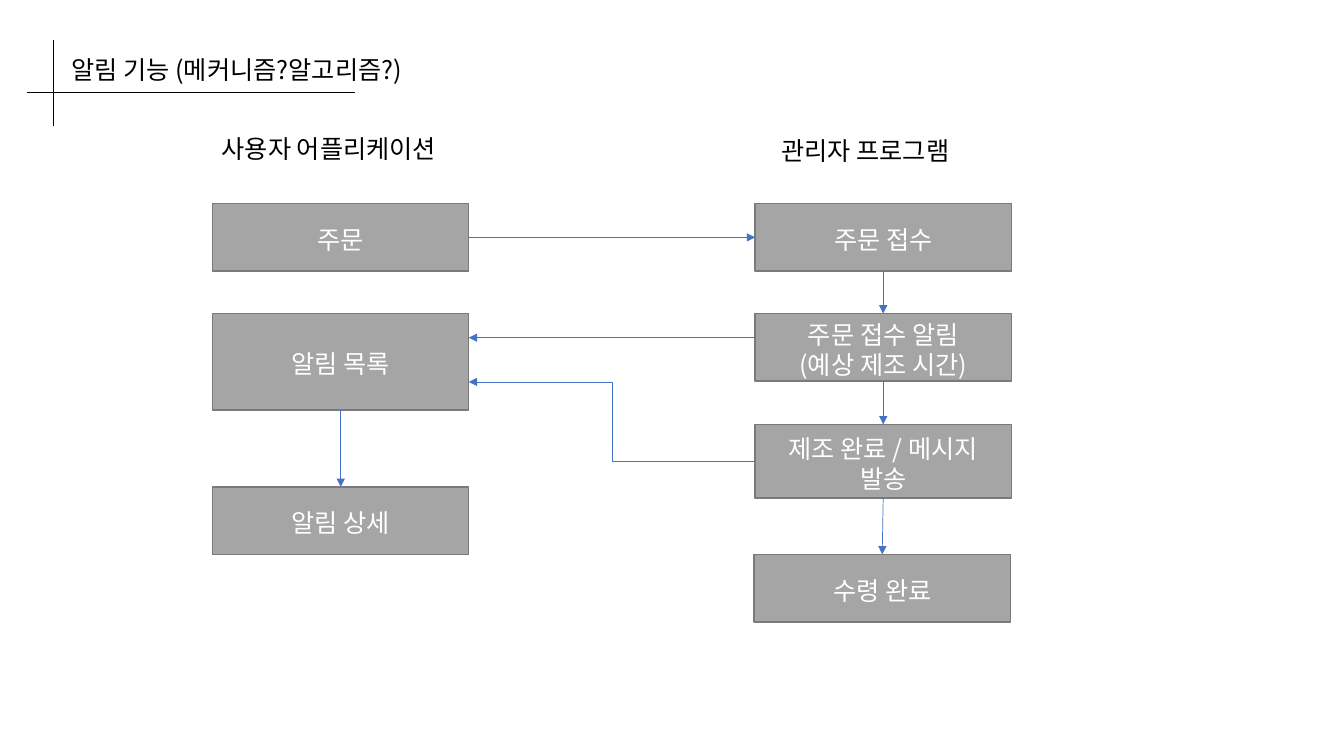
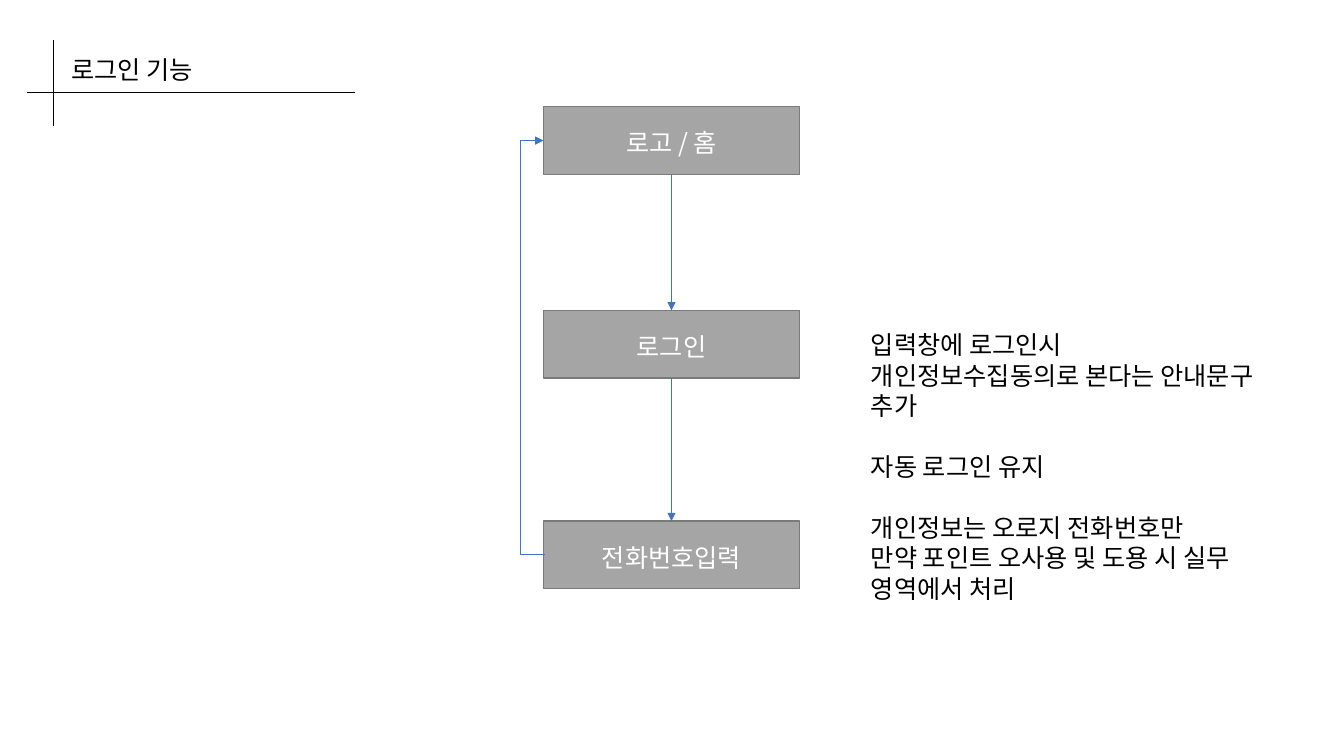
from dataclasses import dataclass

import pptx
import pptx.dml.color
import pptx.enum.shapes
import pptx.enum.text
import pptx.oxml
import pptx.oxml.ns
import pptx.util
from pptx.util import Inches

BLACK = pptx.dml.color.RGBColor(0x00, 0x00, 0x00)
WHITE = pptx.dml.color.RGBColor(0xFF, 0xFF, 0xFF)
GRAY = pptx.dml.color.RGBColor(0xA5, 0xA5, 0xA5)
DARK_GRAY = pptx.dml.color.RGBColor(0x7A, 0x7A, 0x7A)
BLUE = pptx.dml.color.RGBColor(0x44, 0x72, 0xC4)

FONT = "Noto Sans CJK KR"
FONT_SIZE = pptx.util.Pt(18)
LINE_HEIGHT = pptx.util.Pt(21.7)
BOX_WIDTH, BOX_HEIGHT = 2.54, 0.67
TOP, LEFT, BOTTOM, RIGHT = range(4)
STRAIGHT = pptx.enum.shapes.MSO_CONNECTOR.STRAIGHT
ELBOW = pptx.enum.shapes.MSO_CONNECTOR.ELBOW


@dataclass(frozen=True)
class Paragraph:
    text: str
    gap_before: bool = False


@dataclass(frozen=True)
class Step:
    name: str
    left: float
    top: float
    lines: tuple[str, ...]
    height: float = BOX_HEIGHT


@dataclass(frozen=True)
class Link:
    start: str
    start_side: int
    end: str
    end_side: int


# Text
def write(frame, paragraphs, color, align=pptx.enum.text.PP_ALIGN.LEFT) -> None:
    frame.word_wrap = True
    frame.margin_left = frame.margin_right = Inches(0.1)
    frame.margin_top, frame.margin_bottom = Inches(0.07), Inches(0.03)
    for index, paragraph in enumerate(paragraphs):
        para = frame.paragraphs[0] if index == 0 else frame.add_paragraph()
        para.alignment = align
        para.line_spacing = LINE_HEIGHT
        if paragraph.gap_before:
            para.space_before = LINE_HEIGHT
        for number, text in enumerate(paragraph.text.split("\n")):
            if number:
                para.add_line_break()
            span = para.add_run()
            span.text = text
            span.font.size = FONT_SIZE
            span.font.name = FONT
            span.font.color.rgb = color
            east_asian = pptx.oxml.parse_xml(
                f'<a:ea {pptx.oxml.ns.nsdecls("a")} typeface="{FONT}"/>')
            span.font._element.find(pptx.oxml.ns.qn("a:latin")).addnext(east_asian)


def add_text(page, left: float, top: float, width: float, *paragraphs: Paragraph,
             height: float = 0.4) -> None:
    box = page.shapes.add_textbox(Inches(left), Inches(top), Inches(width), Inches(height))
    write(box.text_frame, paragraphs, BLACK)
    box.text_frame.auto_size = pptx.enum.text.MSO_AUTO_SIZE.SHAPE_TO_FIT_TEXT


# Boxes and lines
def add_step(page, step: Step):
    box = page.shapes.add_shape(
        pptx.enum.shapes.MSO_SHAPE.RECTANGLE, Inches(step.left), Inches(step.top),
        Inches(BOX_WIDTH), Inches(step.height))
    box.shadow.inherit = False
    box.fill.solid()
    box.fill.fore_color.rgb = GRAY
    box.line.color.rgb = DARK_GRAY
    box.line.width = pptx.util.Pt(1)
    box.text_frame.vertical_anchor = pptx.enum.text.MSO_ANCHOR.MIDDLE
    write(box.text_frame, [Paragraph(line) for line in step.lines], WHITE,
          pptx.enum.text.PP_ALIGN.CENTER)
    return box


def add_line(page, start=(0, 0), end=(0, 0), color=BLUE, kind=STRAIGHT, arrow: bool = True):
    line = page.shapes.add_connector(kind, *(Inches(value) for value in (*start, *end)))
    line.line.color.rgb = color
    line.line.width = pptx.util.Pt(0.5)
    namespace = pptx.oxml.ns.nsdecls("a")
    if arrow:
        line.line._get_or_add_ln().append(
            pptx.oxml.parse_xml(f'<a:tailEnd {namespace} type="triangle"/>'))
    line._element.spPr.append(pptx.oxml.parse_xml(f"<a:effectLst {namespace}/>"))
    return line


def add_flow(page, steps, links) -> dict:
    boxes = {step.name: add_step(page, step) for step in steps}
    for link in links:
        line = add_line(page)
        line.begin_connect(boxes[link.start], link.start_side)
        line.end_connect(boxes[link.end], link.end_side)
    return boxes


# Shared title with crossed rules
def add_page(deck, title: str, title_width: float):
    page = deck.slides.add_slide(deck.slide_layouts[6])
    add_line(page, (0.27, 0.92), (3.52, 0.92), BLACK, arrow=False)
    add_line(page, (0.53, 0.4), (0.53, 1.25), BLACK, arrow=False)
    add_text(page, 0.61, 0.47, title_width, Paragraph(title))
    return page


def build_notification_page(deck) -> None:
    page = add_page(deck, "알림 기능 (메커니즘?알고리즘?)", 4.05)
    add_text(page, 2.1, 1.25, 2.99, Paragraph("사용자 어플리케이션"))
    add_text(page, 7.65, 1.27, 3.88, Paragraph("관리자 프로그램"))
    user, manager = 2.11, 7.49
    steps = (
        Step("order", user, 2.02, ("주문",)),
        Step("list", user, 3.11, ("알림 목록",), 0.96),
        Step("detail", user, 4.83, ("알림 상세",)),
        Step("receipt", manager, 2.02, ("주문 접수",)),
        Step("notice", manager, 3.11, ("주문 접수 알림", "(예상 제조 시간)")),
        Step("ready", manager, 4.21, ("제조 완료 / 메시지 발송",), 0.73),
        Step("pickup", 7.48, 5.5, ("수령 완료",)),
    )
    links = (
        Link("order", RIGHT, "receipt", LEFT),
        Link("list", BOTTOM, "detail", TOP),
        Link("receipt", BOTTOM, "notice", TOP),
        Link("notice", BOTTOM, "ready", TOP),
        Link("ready", BOTTOM, "pickup", TOP),
    )
    boxes = add_flow(page, steps, links)
    # Messages back to the user's list
    list_edge = user + BOX_WIDTH
    add_line(page, (manager, 3.35), (list_edge, 3.35))
    message = add_line(page, (manager, 4.57), (list_edge, 3.79), kind=ELBOW)
    message.begin_connect(boxes["ready"], LEFT)


def build_login_page(deck) -> None:
    page = add_page(deck, "로그인 기능", 2.99)
    column = 5.39
    steps = (
        Step("home", column, 1.06, ("로고 / 홈",)),
        Step("login", column, 3.08, ("로그인",)),
        Step("phone", column, 5.17, ("전화번호입력",)),
    )
    links = (
        Link("home", BOTTOM, "login", TOP),
        Link("login", BOTTOM, "phone", TOP),
    )
    boxes = add_flow(page, steps, links)
    # Return path to home, bending 0.25 inches left of its start
    overlap, reach = 0.02, 0.25
    back = add_line(page, kind=ELBOW)
    back.begin_connect(boxes["phone"], LEFT)
    back.end_connect(boxes["home"], LEFT)
    back.begin_x = Inches(column + overlap)
    bend = back._element.spPr.prstGeom.get_or_add_avLst()
    bend.append(pptx.oxml.parse_xml(
        f'<a:gd {pptx.oxml.ns.nsdecls("a")} name="adj1" '
        f'fmla="val {round(reach / overlap * 100000)}"/>'))
    add_text(
        page, 8.54, 3.2, 4.24,
        Paragraph("입력창에 로그인시\n개인정보수집동의로 본다는 안내문구 추가"),
        Paragraph("자동 로그인 유지", gap_before=True),
        Paragraph("개인정보는 오로지 전화번호만", gap_before=True),
        Paragraph("만약 포인트 오사용 및 도용 시 실무 영역에서 처리"),
        height=2.52)


def main() -> None:
    deck = pptx.Presentation()
    deck.slide_width, deck.slide_height = Inches(13.33), Inches(7.5)
    build_notification_page(deck)
    build_login_page(deck)
    deck.save("out.pptx")


if __name__ == "__main__":
    main()
